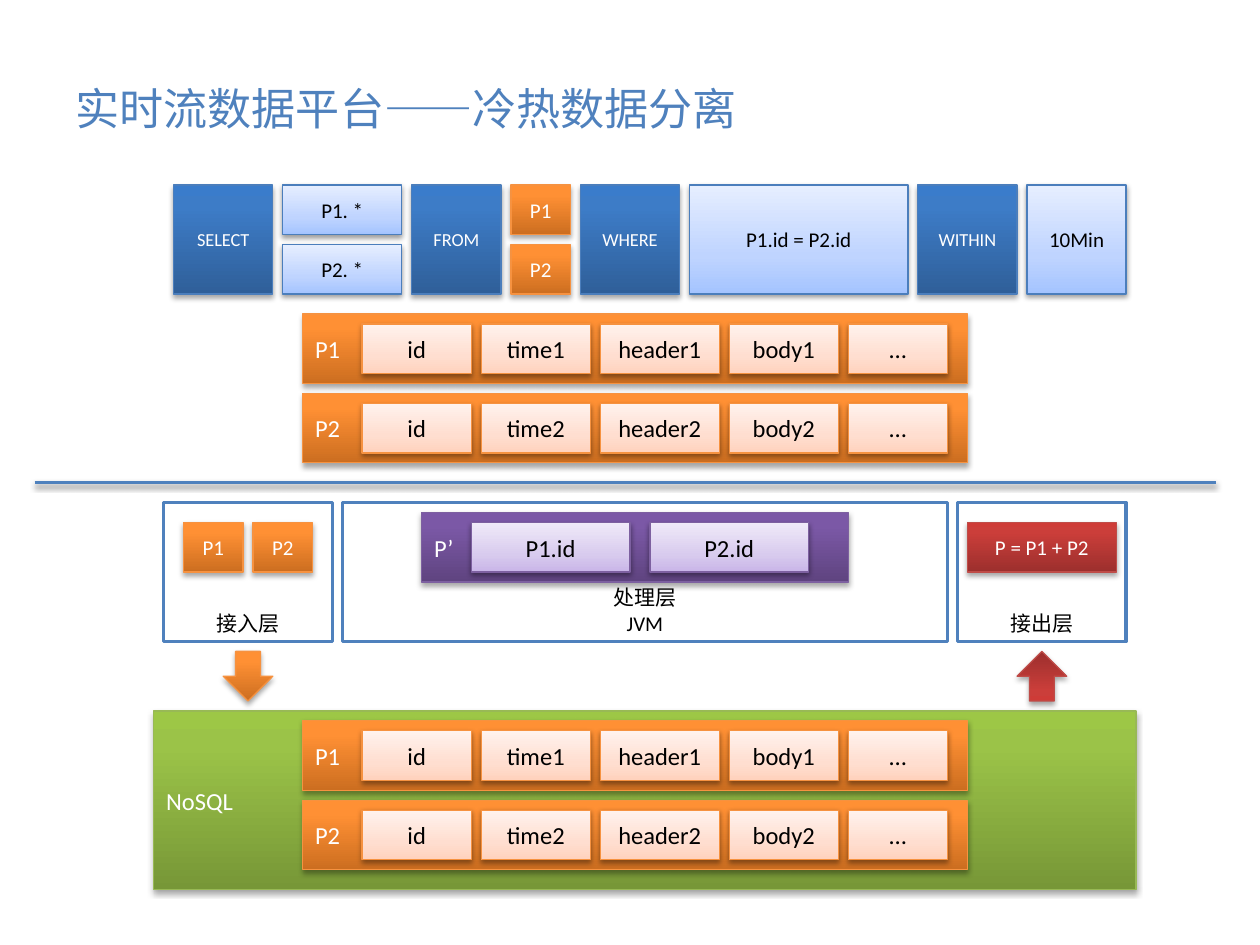
from pptx import Presentation
from pptx.dml.color import RGBColor as RGB
from pptx.enum.shapes import MSO_CONNECTOR as CONN, MSO_SHAPE as SHAPE
from pptx.enum.text import MSO_ANCHOR as ANCHOR, PP_ALIGN as ALIGN
from pptx.oxml import parse_xml
from pptx.oxml.ns import nsdecls
from pptx.util import Pt

TITLE = "实时流数据平台——冷热数据分离"
QUERY = [
    (["SELECT"], 10, "blue", 10.5),
    (["P1. *", "P2. *"], 12, "pale_blue", 12),
    (["FROM"], 9, "blue", 10.5),
    (["P1", "P2"], 6, "orange", 12),
    (["WHERE"], 10, "blue", 10.5),
    (["P1.id = P2.id"], 22, "pale_blue", 12),
    (["WITHIN"], 10, "blue", 10.5),
    (["10Min"], 10, "pale_blue", 12),
]
RECORDS = [
    ("P1", ["id", "time1", "header1", "body1", "…"]),
    ("P2", ["id", "time2", "header2", "body2", "…"]),
]
FIELD_WIDTHS = [11, 11, 12, 11, 10]
LAYERS = [("接入层", 17), ("处理层\nJVM", 61), ("接出层", 17)]

COLORS = {"accent": "4F81BD", "white": "FFFFFF", "black": "000000"}
STYLES = {
    "blue": {"stops": [(0, "2F5F99"), (80, "3D7CC7"), (100, "3A7CCB")], "line": "4B7EBC"},
    "orange": {"stops": [(0, "CC6E20"), (80, "FF9034"), (100, "FF9136")], "line": "F69240"},
    "purple": {"stops": [(0, "5F4480"), (80, "7B58A6"), (100, "7C57A8")], "line": "7D60A0"},
    "green": {"stops": [(0, "779737"), (80, "9BC348"), (100, "9DC746")], "line": "98B955"},
    "red": {"stops": [(0, "9C2F2D"), (80, "CB3E3A"), (100, "CE3B37")], "line": "BF4C48"},
    "pale_blue": {"stops": [(0, "A4C4FF"), (35, "BFD4FF"), (100, "E6EEFF")], "line": "4B7EBC"},
    "pale_orange": {"stops": [(0, "FFD2BD"), (35, "FFDED0"), (100, "FFF2ED")], "line": "F69240"},
    "pale_purple": {"stops": [(0, "C9B5E8"), (35, "D8CBEE"), (100, "F0EAF9")], "line": "7D60A0"},
}
UNIT, LEFT, TOP = 5.67, 2.84, 3.7


def x_at(col):
    return Pt(LEFT + col * UNIT)


def y_at(row):
    return Pt(TOP + row * UNIT)


def write(sp, text, size, color, align=ALIGN.CENTER, anchor=ANCHOR.MIDDLE):
    tf = sp.text_frame
    for name, value in {"word_wrap": True, "vertical_anchor": anchor, "text": text}.items():
        setattr(tf, name, value)
    for p in tf.paragraphs:
        p.alignment = align
        for r in p.runs:
            for name, value in {"name": "Calibri", "size": Pt(size)}.items():
                setattr(r.font, name, value)
            r.font.color.rgb = RGB.from_string(COLORS[color])
            r.font._element.find("{*}latin").addnext(
                parse_xml(f'<a:ea {nsdecls("a")} typeface="Noto Sans CJK SC"/>'))


def add_shadow(sp, alpha, dist):
    sp._element.spPr.append(parse_xml(
        f'<a:effectLst {nsdecls("a")}><a:outerShdw blurRad="{Pt(3.1)}" dist="{Pt(dist)}" '
        f'dir="5400000" rotWithShape="0"><a:srgbClr val="{COLORS["black"]}">'
        f'<a:alpha val="{alpha * 1000}"/></a:srgbClr></a:outerShdw></a:effectLst>'))


def add_shape(col, row, w, h, line, weight, kind=SHAPE.RECTANGLE):
    sp = shapes.add_shape(kind, x_at(col), y_at(row), Pt(w * UNIT), Pt(h * UNIT))
    sp.line.color.rgb = RGB.from_string(line)
    sp.line.width = Pt(weight)
    return sp


def block(col, row, w, h, style, text="", size=14, align=ALIGN.CENTER, kind=SHAPE.RECTANGLE):
    look = STYLES[style]
    pale = style.startswith("pale")
    sp = add_shape(col, row, w, h, look["line"], 0.75, kind)
    stops = "".join(f'<a:gs pos="{pos * 1000}"><a:srgbClr val="{c}"/></a:gs>'
                    for pos, c in look["stops"])
    sp._element.spPr.find("{*}prstGeom").addnext(parse_xml(
        f'<a:gradFill {nsdecls("a")} rotWithShape="1"><a:gsLst>{stops}</a:gsLst>'
        '<a:lin ang="16200000" scaled="0"/></a:gradFill>'))
    add_shadow(sp, *((38, 1.6) if pale else (35, 1.8)))
    if text:
        write(sp, text, size, "black" if pale else "white", align)
    return sp


def record_pair(row):
    for i, (name, fields) in enumerate(RECORDS):
        top = row + 8 * i
        block(30, top, 67, 7, "orange", name, align=ALIGN.LEFT)
        col = 36
        for field, w in zip(fields, FIELD_WIDTHS):
            block(col, top + 1, w, 5, "pale_orange", field)
            col += w + 1


prs = Presentation()
prs.slide_width, prs.slide_height = Pt(720), Pt(540)
s = prs.slides.add_slide(prs.slide_layouts[6])
shapes = s.shapes

write(shapes.add_textbox(Pt(36), Pt(33.84), Pt(437.76), Pt(55.44)),
      TITLE, 25.2, "accent", ALIGN.LEFT)

col = 17
for texts, w, style, size in QUERY:
    h = (12 - len(texts)) / len(texts)
    for i, text in enumerate(texts):
        block(col, 18 + i * (h + 1), w, h, style, text, size)
    col += w + 1

record_pair(31)

divider = shapes.add_connector(CONN.STRAIGHT, x_at(3), y_at(48), x_at(122), y_at(48))
divider.line.color.rgb = RGB.from_string(COLORS["accent"])
divider.line.width = Pt(2)
add_shadow(divider, 38, 1.6)

col = 16
for text, w in LAYERS:
    sp = add_shape(col, 50, w, 14, COLORS["accent"], 2)
    sp.fill.solid()
    sp.fill.fore_color.rgb = RGB.from_string(COLORS["white"])
    sp.shadow.inherit = False
    write(sp, text, 12, "black", anchor=ANCHOR.BOTTOM)
    col += w + 1

for i, text in enumerate(["P1", "P2"]):
    block(18 + 7 * i, 52, 6, 5, "orange", text, 12)
block(42, 51, 43, 7, "purple", "P’", align=ALIGN.LEFT)
for i, text in enumerate(["P1.id", "P2.id"]):
    block(47 + 18 * i, 52, 16, 5, "pale_purple", text)
block(97, 52, 15, 5, "red", "P = P1 + P2", 12)

block(22, 65, 5, 5, "orange", kind=SHAPE.DOWN_ARROW)
block(102, 65, 5, 5, "red", kind=SHAPE.DOWN_ARROW).rotation = 180

block(15, 71, 99, 18, "green", "NoSQL", align=ALIGN.LEFT)
record_pair(72)

prs.save("out.pptx")
